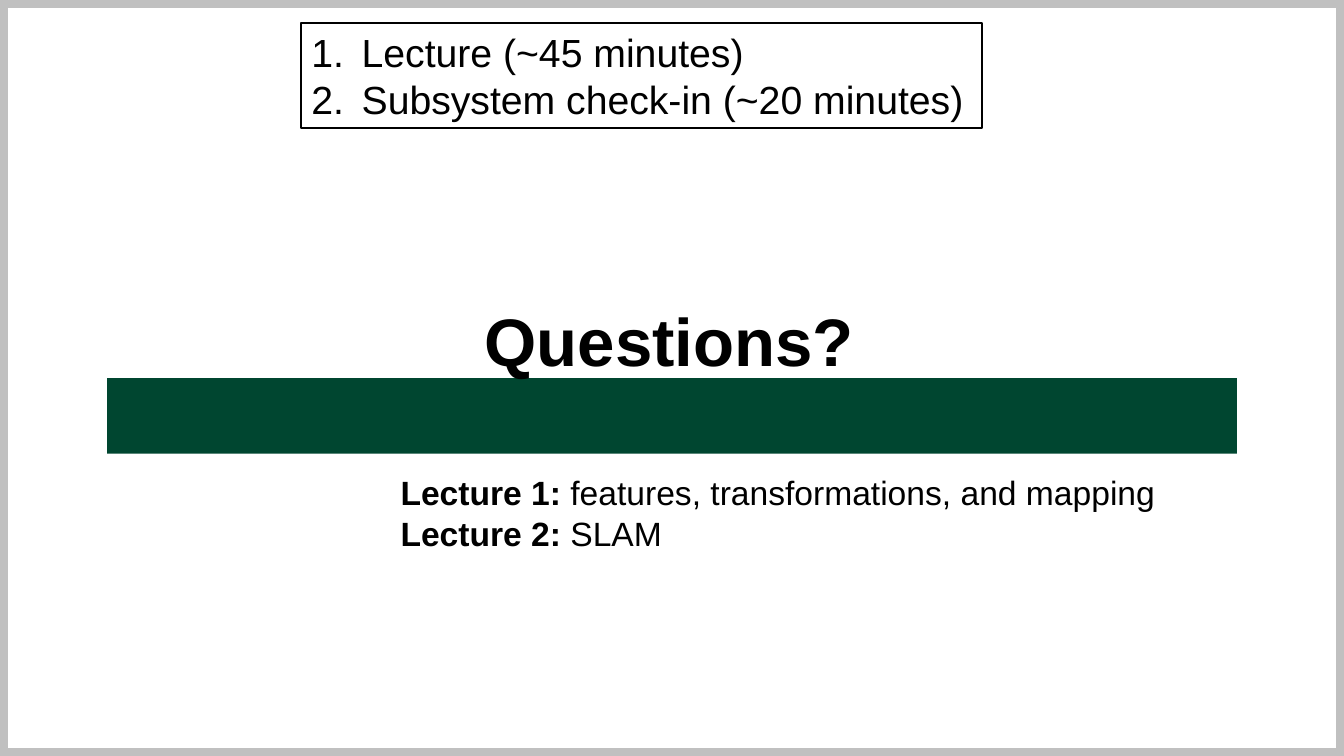
from pptx import Presentation
from pptx.dml.color import RGBColor
from pptx.enum.shapes import MSO_SHAPE
from pptx.enum.text import MSO_ANCHOR, MSO_AUTO_SIZE, PP_ALIGN
from pptx.oxml.ns import qn
from pptx.util import Emu, Pt

RECTANGLE = MSO_SHAPE.RECTANGLE
TOP = MSO_ANCHOR.TOP
FIT_SHAPE = MSO_AUTO_SIZE.SHAPE_TO_FIT_TEXT
LEFT = PP_ALIGN.LEFT
PX = 9525  # EMU in one px, 96 px to the inch

THEME = {
    "font": "Arial",
    "black": RGBColor(0x00, 0x00, 0x00),
    "green": RGBColor(0x00, 0x46, 0x30),
    "grey": RGBColor(0xC0, 0xC0, 0xC0),
    "title": Pt(48),
    "agenda": Pt(28),
    "lectures": Pt(24),
}


def px(*lengths):
    return [Emu(length * PX) for length in lengths]


def write_lines(shape, size, lines):
    """Fill a shape with lines, each a list of (text, bold) runs."""
    frame = shape.text_frame
    frame_format = {"word_wrap": False, "auto_size": FIT_SHAPE, "vertical_anchor": TOP}
    for name, value in frame_format.items():
        setattr(frame, name, value)
    for index, runs in enumerate(lines):
        paragraph = frame.paragraphs[0] if index == 0 else frame.add_paragraph()
        paragraph.alignment = LEFT
        for text, bold in runs:
            run = paragraph.add_run()
            run.text = text
            run_format = {"name": THEME["font"], "size": size, "bold": bold}
            for name, value in run_format.items():
                setattr(run.font, name, value)
            run.font.color.rgb = THEME["black"]


presentation = Presentation()
presentation.slide_width, presentation.slide_height = px(1280, 720)
slide = presentation.slides.add_slide(presentation.slide_layouts[5])
shapes = slide.shapes

# Slide border, green bar and agenda box: place, fill, line colour, line width
rectangles = [
    ((0, 0, 1280, 720), None, THEME["grey"], 12),
    ((102, 360, 1076, 72), THEME["green"], None, 0),
    ((287, 22, 648, 100), None, THEME["black"], 1.5),
]
for place, fill, line, width in rectangles:
    shape = shapes.add_shape(RECTANGLE, *px(*place))
    shape.shadow.inherit = False
    if fill is None:
        shape.fill.background()
    else:
        shape.fill.solid()
        shape.fill.fore_color.rgb = fill
    if line is None:
        shape.line.fill.background()
    else:
        shape.line.color.rgb = line
        shape.line.width = Pt(width)
agenda = shape

# Title, in front of the bar
title = shapes.title
title.left, title.top, title.width, title.height = px(452, 280, 375, 87)
agenda._element.addprevious(title._element)
write_lines(title, THEME["title"], [[("Questions?", True)]])

# Numbered agenda
write_lines(agenda, THEME["agenda"], [
    [("Lecture (~45 minutes)", False)],
    [("Subsystem check-in (~20 minutes)", False)],
])
for paragraph in agenda.text_frame.paragraphs:
    properties = paragraph._p.get_or_add_pPr()
    properties.set("marL", str(48 * PX))
    properties.set("indent", str(-48 * PX))
    numbering = properties.makeelement(qn("a:buAutoNum"), {"type": "arabicPeriod"})
    properties.append(numbering)

# Lecture topics
lectures = shapes.add_textbox(*px(372, 445, 745, 87))
write_lines(lectures, THEME["lectures"], [
    [("Lecture 1:", True), (" features, transformations, and mapping", False)],
    [("Lecture 2:", True), (" SLAM", False)],
])

presentation.save("out.pptx")
